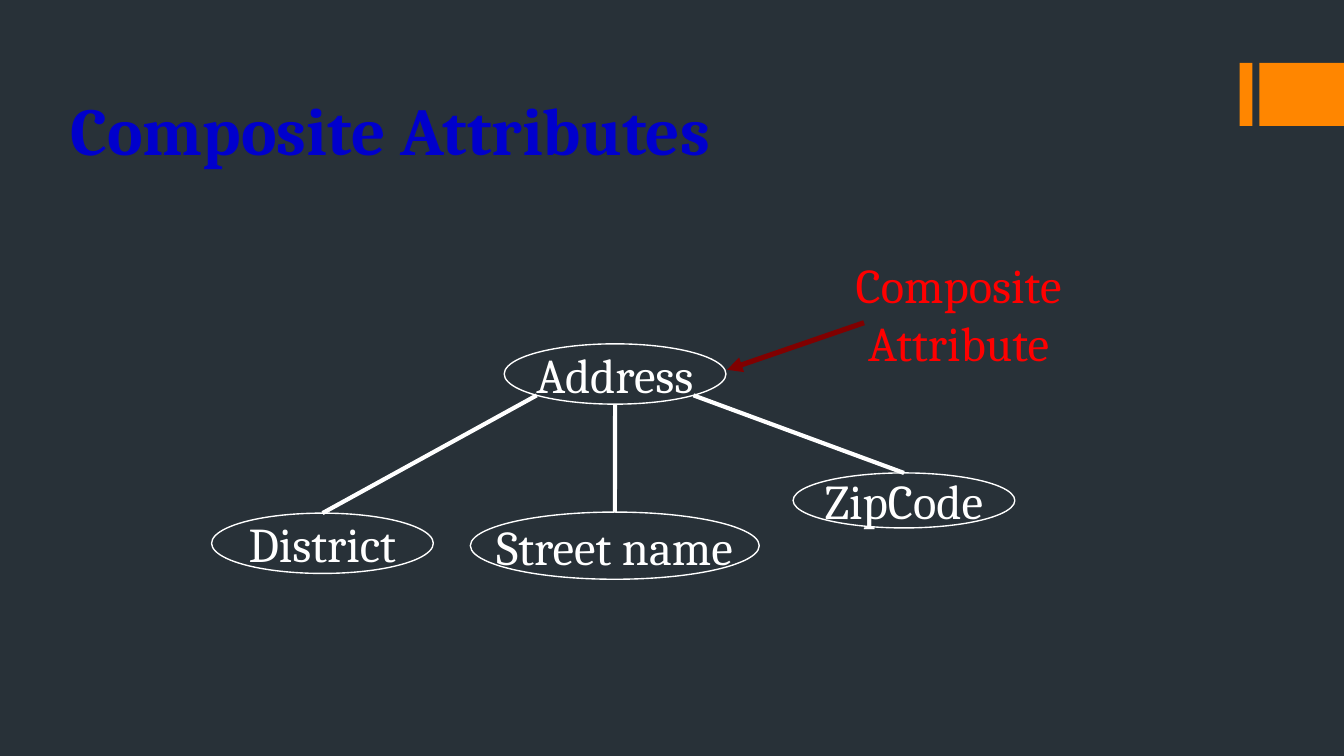
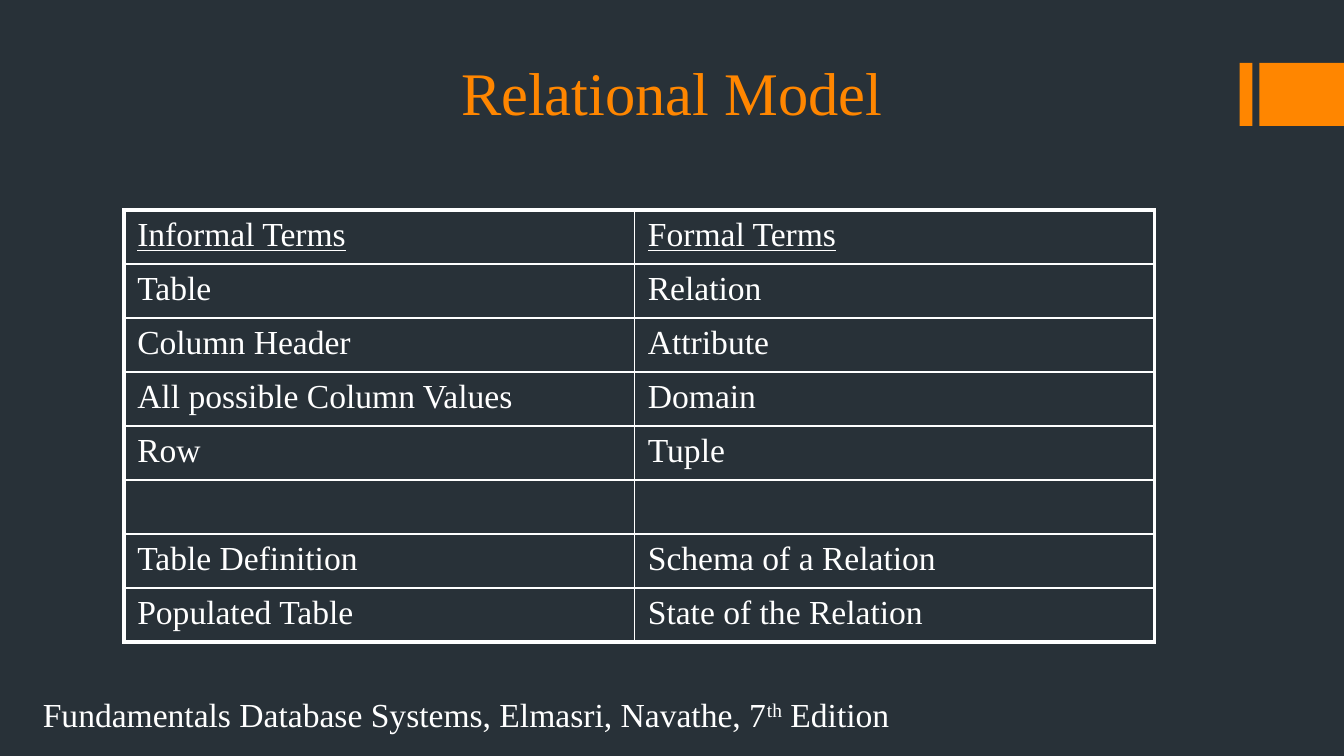
from math import cos, pi, sin

from pptx import Presentation
from pptx.dml.color import RGBColor
from pptx.enum.shapes import MSO_CONNECTOR as CONNECTOR, MSO_SHAPE as SHAPE
from pptx.enum.text import MSO_ANCHOR as ANCHOR, PP_ALIGN as ALIGN
from pptx.oxml.ns import qn
from pptx.oxml.xmlchemy import OxmlElement as Element
from pptx.util import Cm, Pt

BACKDROP, ACCENT, WHITE = "283138", "FF8600", "FFFFFF"
BLUE, RED, MAROON = "0000CC", "FF0000", "800000"
SERIF, TIMES = "Cambria", "Times New Roman"
WIDTH, HEIGHT = 25.4, 14.29

BRANCHES = [  # text, box relative to the diagram, angle where the line leaves Address
    ("Street name", (4.89, 4.35, 5.46, 1.27), pi / 2),
    ("ZipCode", (10.99, 3.61, 4.19, 1.04), pi / 4),
    ("District", (0, 4.37, 4.19, 1.14), 3 * pi / 4),
]

TERMS = [
    ("Informal Terms", "Formal Terms"),
    ("Table", "Relation"),
    ("Column Header", "Attribute"),
    ("All possible Column Values", "Domain"),
    ("Row", "Tuple"),
    ("", ""),
    ("Table Definition", "Schema of a Relation"),
    ("Populated Table", "State of the Relation"),
]


def rgb(color):
    return RGBColor.from_string(color)


def lengths(*values):
    return [Cm(value) for value in values]


def style(paragraph, face, size, color, align=ALIGN.LEFT, bold=False):
    paragraph.alignment = align
    font = paragraph.font
    font.name, font.size, font.bold = face, Pt(size), bold
    font.color.rgb = rgb(color)


def add_title(slide, text, box, face, size, color, **look):
    frame = slide.shapes.add_textbox(*lengths(*box)).text_frame
    frame.word_wrap = True
    frame.vertical_anchor = ANCHOR.BOTTOM
    frame.text = text
    style(frame.paragraphs[0], face, size, color, **look)


def add_base(deck):
    """New slide with the backdrop and the accent band at the right edge."""
    slide = deck.slides.add_slide(deck.slide_layouts[6])
    slide.background.fill.solid()
    slide.background.fill.fore_color.rgb = rgb(BACKDROP)
    for left, width in ((23.43, 0.24), (23.8, 1.6)):
        band = slide.shapes.add_shape(SHAPE.RECTANGLE, *lengths(left, 1.19, width, 1.19))
        band.shadow.inherit = False
        band.fill.solid()
        band.fill.fore_color.rgb = rgb(ACCENT)
        band.line.fill.background()
    return slide


def add_oval(slide, text, box, color=WHITE, outlined=True):
    oval = slide.shapes.add_shape(SHAPE.OVAL, *lengths(*box))
    oval.shadow.inherit = False
    oval.fill.background()
    if outlined:
        oval.line.color.rgb = rgb(WHITE)
        oval.line.width = Pt(0.75)
    else:
        oval.line.fill.background()
    frame = oval.text_frame
    frame.word_wrap = False
    frame.vertical_anchor = ANCHOR.MIDDLE
    frame.text = text
    for paragraph in frame.paragraphs:
        style(paragraph, SERIF, 26, color, ALIGN.CENTER)
    return oval


def add_line(slide, start, end, color, weight):
    line = slide.shapes.add_connector(CONNECTOR.STRAIGHT, *lengths(*start, *end))
    line.line.color.rgb = rgb(color)
    line.line.width = Pt(weight)
    line._element.spPr.append(Element("a:effectLst"))
    return line


def add_address_diagram(slide, left, top):
    def place(x, y, *size):
        return (left + x, top + y, *size)

    # Address and its parts
    x, y, width, height = address_box = place(5.53, 1.17, 4.19, 1.14)
    for text, box, angle in BRANCHES:
        part = add_oval(slide, text, place(*box))
        start = (x + width / 2 * (1 + cos(angle)), y + height / 2 * (1 + sin(angle)))
        branch = add_line(slide, start, start, WHITE, 2.25)
        branch.end_connect(part, 0)
    add_oval(slide, "Address", address_box)

    # Label with its arrow
    add_oval(slide, "Composite\nAttribute", place(11.72, 0, 4.8, 1.19), RED, outlined=False)
    arrow = add_line(slide, place(12.33, 0.77), place(9.74, 1.66), MAROON, 2.75)
    head = Element("a:tailEnd")
    head.set("type", "triangle")
    arrow.line._get_or_add_ln().append(head)


def set_borders(cell, weights):
    """Border weights in points: left, right, top, bottom."""
    properties = cell._tc.get_or_add_tcPr()
    for index, (side, weight) in enumerate(zip("LRTB", weights)):
        border = Element(f"a:ln{side}")
        border.set("w", str(Pt(weight)))
        fill, color = Element("a:solidFill"), Element("a:srgbClr")
        color.set("val", WHITE)
        fill.append(color)
        border.append(fill)
        properties.insert(index, border)


def add_terms_table(slide, left, top, widths, row_height):
    rows, columns = len(TERMS), len(widths)
    table = slide.shapes.add_table(
        rows, columns, *lengths(left, top, sum(widths), rows * row_height)).table
    table.first_row = table.horz_banding = False
    for column, width in zip(table.columns, widths):
        column.width = Cm(width)
    for r, terms in enumerate(TERMS):
        for c, term in enumerate(terms):
            cell = table.cell(r, c)
            cell.fill.background()
            cell.text = term
            paragraph = cell.text_frame.paragraphs[0]
            style(paragraph, TIMES, 18, WHITE)
            if r == 0:
                paragraph.font.underline = True
            edges = (c == 0, c == columns - 1, r == 0, r == rows - 1)
            set_borders(cell, [2.25 if edge else 1 for edge in edges])


def add_source_note(slide, *box):
    frame = slide.shapes.add_textbox(*lengths(*box)).text_frame
    frame.word_wrap = True
    note = frame.paragraphs[0]
    style(note, TIMES, 18, WHITE)
    for text, raised in (("Fundamentals Database Systems, Elmasri, Navathe, 7", False),
                         ("th", True), (" Edition", False)):
        run = note.add_run()
        run.text = text
        if raised:
            run._r.get_or_add_rPr().set("baseline", "30000")


def composite_slide(deck):
    slide = add_base(deck)
    add_title(slide, "Composite Attributes", (1.09, 2.13, 23.39, 1.19),
              SERIF, 36, BLUE, bold=True)
    add_address_diagram(slide, 4, 5.33)


def relational_slide(deck):
    slide = add_base(deck)
    add_title(slide, "Relational Model", (2.54, 1.22, 20.32, 1.32),
              TIMES, 32.4, ACCENT, align=ALIGN.CENTER)
    add_source_note(slide, 0.56, 13, 22.5, 1.02)
    add_terms_table(slide, 2.34, 3.97, (9.65, 9.83), 1.02)


def main():
    deck = Presentation()
    deck.slide_width, deck.slide_height = lengths(WIDTH, HEIGHT)
    composite_slide(deck)
    relational_slide(deck)
    deck.save("out.pptx")


if __name__ == "__main__":
    main()
